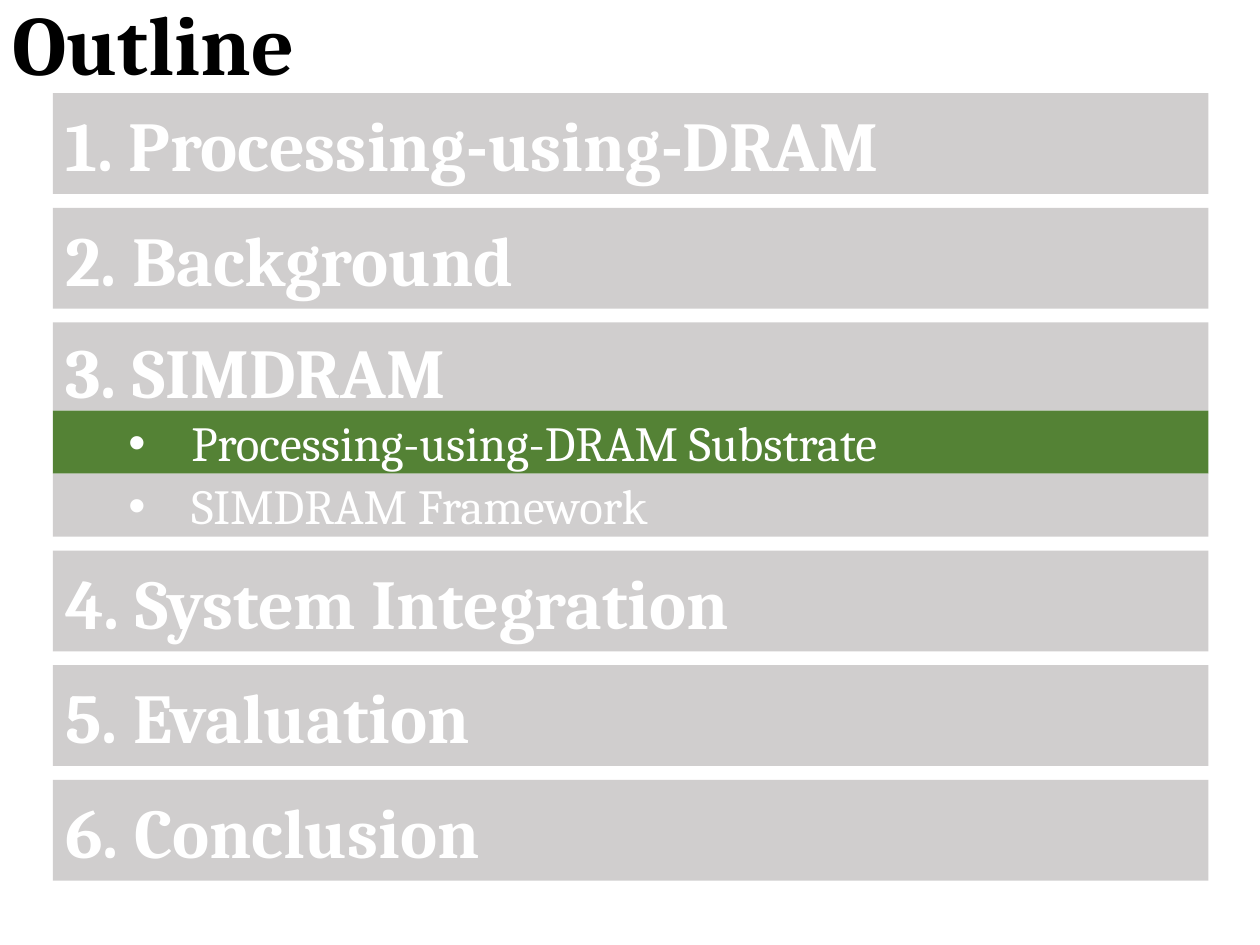
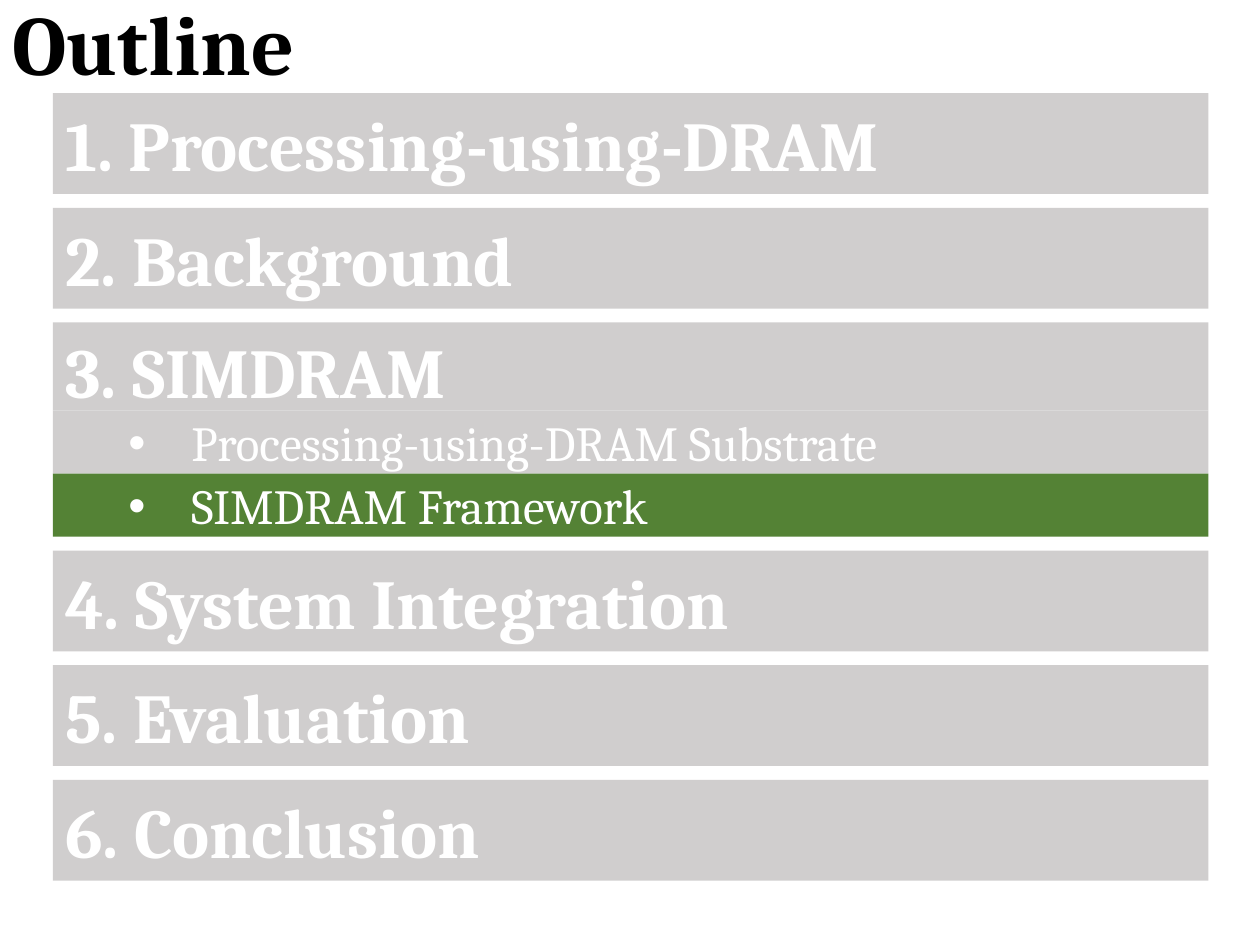
"""Build the outline slides, each highlighting one topic of the SIMDRAM section."""
from dataclasses import dataclass
from typing import NamedTuple

from lxml.etree import SubElement
from pptx import Presentation
from pptx.dml.color import RGBColor
from pptx.enum.shapes import MSO_SHAPE as Shape
from pptx.enum.text import MSO_ANCHOR as Anchor, PP_ALIGN as Align
from pptx.oxml.ns import qn
from pptx.slide import Slide
from pptx.text.text import TextFrame, _Paragraph as Paragraph
from pptx.util import Inches, Pt

COLUMNS, ROWS = 1000, 750
CELL = Inches(10) // COLUMNS
FONT = "Cambria"
BLACK, WHITE, MUTED, ACTIVE = "000000", "FFFFFF", "D0CECE", "548235"
BAND_LEFT, BAND_WIDTH, FIRST_TOP = 42, 917, 74
SECTION_HEIGHT, PARENT_HEIGHT, TOPIC_HEIGHT, GAP = 80, 70, 50, 11


class Area(NamedTuple):
    """A rectangle in grid columns and rows."""
    left: int
    top: int
    width: int
    height: int

    def emu(self) -> list[int]:
        """Return the rectangle in slide units."""
        return [cells * CELL for cells in self]


class Style(NamedTuple):
    """The look of one line of text."""
    size: int
    color: str
    bold: bool


@dataclass(frozen=True)
class Section:
    """A numbered section with optional topics beneath it."""
    name: str
    topics: tuple[str, ...] = ()


TITLE_AREA = Area(0, -2, 983, 81)
TITLE_STYLE = Style(48, BLACK, True)
SECTION_STYLE = Style(40, WHITE, True)
TOPIC_STYLE = Style(28, WHITE, False)
SIMDRAM = Section("SIMDRAM", ("Processing-using-DRAM Substrate", "SIMDRAM Framework"))
SECTIONS = (
    Section("Processing-using-DRAM"),
    Section("Background"),
    SIMDRAM,
    Section("System Integration"),
    Section("Evaluation"),
    Section("Conclusion"),
)


def rgb(color: str) -> RGBColor:
    """Turn a hex string into a colour."""
    return RGBColor.from_string(color)


def write(frame: TextFrame, text: str, style: Style, anchor: Anchor) -> Paragraph:
    """Fill a frame with one styled line and return its paragraph."""
    frame.text = text
    frame.word_wrap = True
    frame.vertical_anchor = anchor
    line = frame.paragraphs[0]
    line.alignment = Align.LEFT
    font = line.runs[0].font
    font.name, font.size, font.bold = FONT, Pt(style.size), style.bold
    font.color.rgb = rgb(style.color)
    return line


def add_title(slide: Slide, text: str) -> None:
    """Place the slide title."""
    title = slide.shapes.add_textbox(*TITLE_AREA.emu())
    write(title.text_frame, text, TITLE_STYLE, Anchor.MIDDLE).line_spacing = 0.9


def add_band(slide: Slide, top: int, height: int, text: str, style: Style,
             fill: str = MUTED, anchor: Anchor = Anchor.MIDDLE) -> Paragraph:
    """Draw a full-width band holding one line."""
    area = Area(BAND_LEFT, top, BAND_WIDTH, height)
    band = slide.shapes.add_shape(Shape.RECTANGLE, *area.emu())
    band.shadow.inherit = False
    band.fill.solid()
    band.fill.fore_color.rgb = rgb(fill)
    band.line.fill.background()
    return write(band.text_frame, text, style, anchor)


def add_bullet(line: Paragraph) -> None:
    """Indent a topic and give it a round bullet."""
    line.level = 1
    properties = line._p.get_or_add_pPr()
    properties.set("marL", str(Inches(1)))
    properties.set("indent", str(Inches(-0.5)))
    SubElement(properties, qn("a:buFont")).set("typeface", "Arial")
    SubElement(properties, qn("a:buChar")).set("char", "•")


def add_section(slide: Slide, top: int, number: int, section: Section, current: str) -> int:
    """Draw a section with its topics and return the row below it."""
    height = PARENT_HEIGHT if section.topics else SECTION_HEIGHT
    anchor = Anchor.TOP if section.topics else Anchor.MIDDLE
    add_band(slide, top, height, f"{number}. {section.name}", SECTION_STYLE, anchor=anchor)
    top += height
    for topic in section.topics:
        fill = ACTIVE if topic == current else MUTED
        add_bullet(add_band(slide, top, TOPIC_HEIGHT, topic, TOPIC_STYLE, fill))
        top += TOPIC_HEIGHT
    return top


def add_outline(slide: Slide, current: str) -> None:
    """Draw the whole outline with the current topic highlighted."""
    add_title(slide, "Outline")
    top = FIRST_TOP
    for number, section in enumerate(SECTIONS, start=1):
        top = add_section(slide, top, number, section, current) + GAP


def main() -> None:
    """Create one outline slide per SIMDRAM topic and save the deck."""
    deck = Presentation()
    deck.slide_width, deck.slide_height = COLUMNS * CELL, ROWS * CELL
    blank = deck.slide_layouts[6]
    for topic in SIMDRAM.topics:
        add_outline(deck.slides.add_slide(blank), topic)
    deck.save("out.pptx")


if __name__ == "__main__":
    main()
